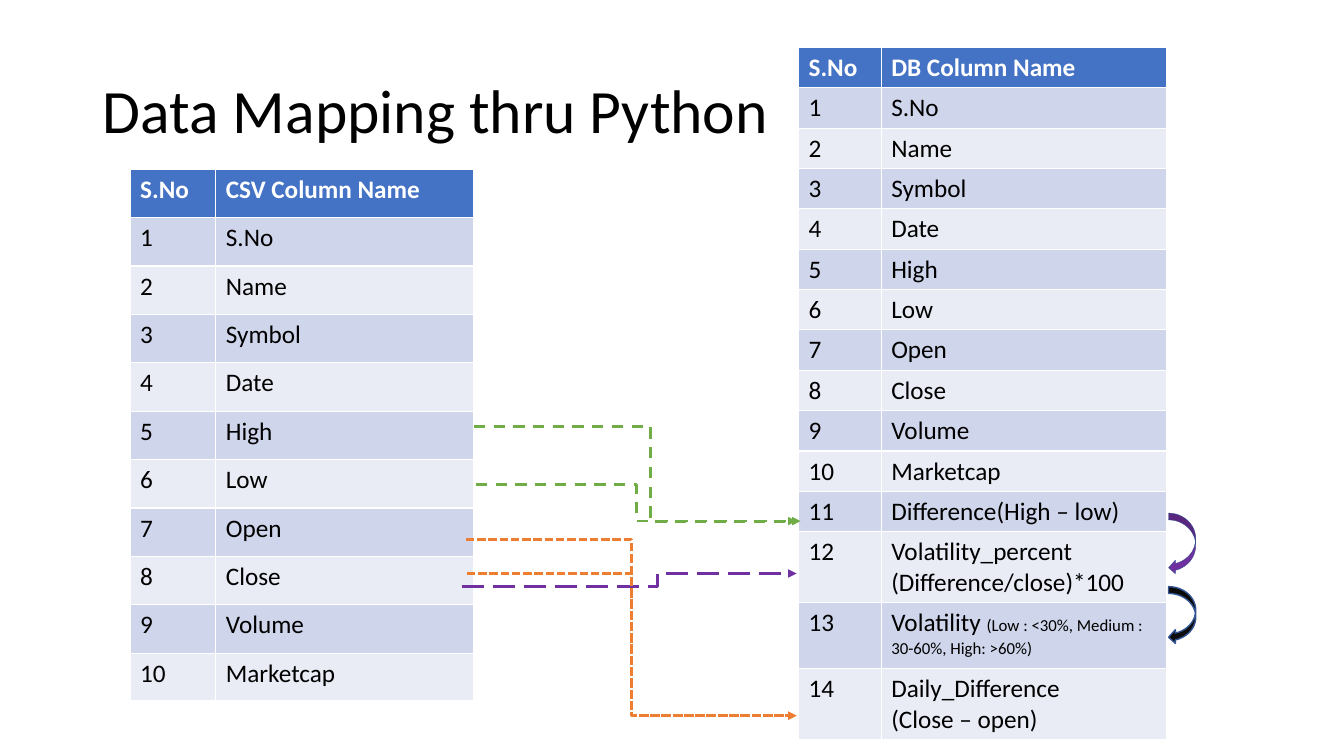
from dataclasses import dataclass

from lxml.etree import SubElement as Sub
from pptx import Presentation
from pptx.dml.color import RGBColor
from pptx.enum.dml import MSO_LINE as Dash
from pptx.enum.shapes import MSO_CONNECTOR as Link, MSO_SHAPE as Shape
from pptx.enum.text import MSO_ANCHOR as Anchor
from pptx.oxml.ns import qn
from pptx.shapes.shapetree import SlideShapes as Shapes
from pptx.table import Table
from pptx.text.text import TextFrame as Frame
from pptx.util import Inches, Pt

FONT = "Calibri"
WHITE = RGBColor(0xFF, 0xFF, 0xFF)
BLACK = RGBColor(0x00, 0x00, 0x00)
BLUE = RGBColor(0x44, 0x72, 0xC4)
DARK = RGBColor(0xCF, 0xD5, 0xEA)
LIGHT = RGBColor(0xE9, 0xEB, 0xF5)
GREEN = RGBColor(0x70, 0xAD, 0x47)
PURPLE = RGBColor(0x70, 0x30, 0xA0)
ORANGE = RGBColor(0xED, 0x7D, 0x31)
INK = RGBColor(0x0D, 0x0D, 0x0D)
NAVY = RGBColor(0x32, 0x54, 0x91)


@dataclass
class Grid:
    left: float
    top: float
    cols: tuple[float, float]
    rows: list[float]
    head: str
    names: list[str]


@dataclass
class Route:
    start: tuple[float, float]
    end: tuple[float, float]
    bend: float
    color: RGBColor
    dash: Dash


@dataclass
class Curl:
    top: float
    height: float
    fill: RGBColor
    width: float


CSV = ["S.No", "Name", "Symbol", "Date", "High", "Low", "Open", "Close",
       "Volume", "Marketcap"]
DB = CSV + [
    "Difference(High – low)",
    "Volatility_percent (Difference/close)*100",
    "Volatility ",
    "Daily_Difference\n(Close – open)",
]
NOTE = "(Low : <30%, Medium : 30-60%, High: >60%)"
LEFT = Grid(1.29, 1.68, (0.85, 2.56), [0.48] * 10 + [0.47], "CSV Column Name", CSV)
RIGHT = Grid(7.92, 0.47, (0.82, 2.83), [0.38] * 12 + [0.66] * 3, "DB Column Name", DB)
ROUTES = [
    Route((4.72, 4.81), (7.9, 5.17), 0.5, GREEN, Dash.DASH),
    Route((4.7, 4.23), (7.94, 5.17), 0.54, GREEN, Dash.DASH),
    Route((4.58, 5.82), (7.9, 5.69), 0.585, PURPLE, Dash.LONG_DASH),
    Route((4.63, 5.69), (7.9, 7.1), 0.5, ORANGE, Dash.SQUARE_DOT),
    Route((4.62, 5.35), (7.9, 7.1), 0.5, ORANGE, Dash.SQUARE_DOT),
]
CURLS = [Curl(5.09, 0.61, PURPLE, 0.25), Curl(5.82, 0.57, INK, 1)]


def style(frame: Frame, size: float, color: RGBColor, bold: bool = False) -> None:
    for para in frame.paragraphs:
        for run in para.runs:
            run.font.name = FONT
            run.font.size = Pt(size)
            run.font.bold = bold
            run.font.color.rgb = color


def add_title(shapes: Shapes, text: str) -> None:
    box = shapes.add_textbox(Inches(0.92), Inches(0.4), Inches(11.5), Inches(1.45))
    frame = box.text_frame
    frame.word_wrap = True
    frame.vertical_anchor = Anchor.MIDDLE
    frame.text = text
    frame.paragraphs[0].line_spacing = 0.9
    style(frame, 44, BLACK)


def add_grid(shapes: Shapes, grid: Grid) -> Table:
    table = shapes.add_table(
        len(grid.rows), len(grid.cols), Inches(grid.left), Inches(grid.top),
        Inches(sum(grid.cols)), Inches(sum(grid.rows))).table
    for col, width in zip(table.columns, grid.cols):
        col.width = Inches(width)
    for row, height in zip(table.rows, grid.rows):
        row.height = Inches(height)
    for num, name in enumerate([grid.head] + grid.names):
        head = num == 0
        fill = BLUE if head else DARK if num % 2 else LIGHT
        for cell, text in zip(table.rows[num].cells, ("S.No" if head else str(num), name)):
            cell.fill.solid()
            cell.fill.fore_color.rgb = fill
            cell.text_frame.text = text
            style(cell.text_frame, 18, WHITE if head else BLACK, head)
    return table


def add_note(table: Table, row: int, text: str) -> None:
    run = table.cell(row, 1).text_frame.paragraphs[0].add_run()
    run.text = text
    run.font.name = FONT
    run.font.size = Pt(12)
    run.font.color.rgb = BLACK


def add_route(shapes: Shapes, route: Route) -> None:
    ends = [Inches(n) for n in route.start + route.end]
    link = shapes.add_connector(Link.ELBOW, *ends)
    line = link.line
    line.color.rgb = route.color
    line.width = Pt(2)
    line.dash_style = route.dash
    Sub(line._get_or_add_ln(), qn("a:tailEnd"), type="triangle")
    props = link._element.spPr
    guides = props.find(qn("a:prstGeom")).get_or_add_avLst()
    Sub(guides, qn("a:gd"), name="adj1", fmla=f"val {round(route.bend * 100000)}")
    Sub(props, qn("a:effectLst"))


def add_curl(shapes: Shapes, curl: Curl) -> None:
    shape = shapes.add_shape(Shape.CURVED_LEFT_ARROW, Inches(11.59), Inches(curl.top),
                             Inches(0.27), Inches(curl.height))
    shape.shadow.inherit = False
    shape.fill.solid()
    shape.fill.fore_color.rgb = curl.fill
    shape.line.color.rgb = NAVY
    shape.line.width = Pt(curl.width)


def main() -> None:
    deck = Presentation()
    deck.slide_width = Inches(13.33)
    deck.slide_height = Inches(7.5)
    shapes = deck.slides.add_slide(deck.slide_layouts[6]).shapes
    add_title(shapes, "Data Mapping thru Python")
    add_grid(shapes, LEFT)
    add_note(add_grid(shapes, RIGHT), 13, NOTE)
    for route in ROUTES:
        add_route(shapes, route)
    for curl in CURLS:
        add_curl(shapes, curl)
    deck.save("out.pptx")


if __name__ == "__main__":
    main()
